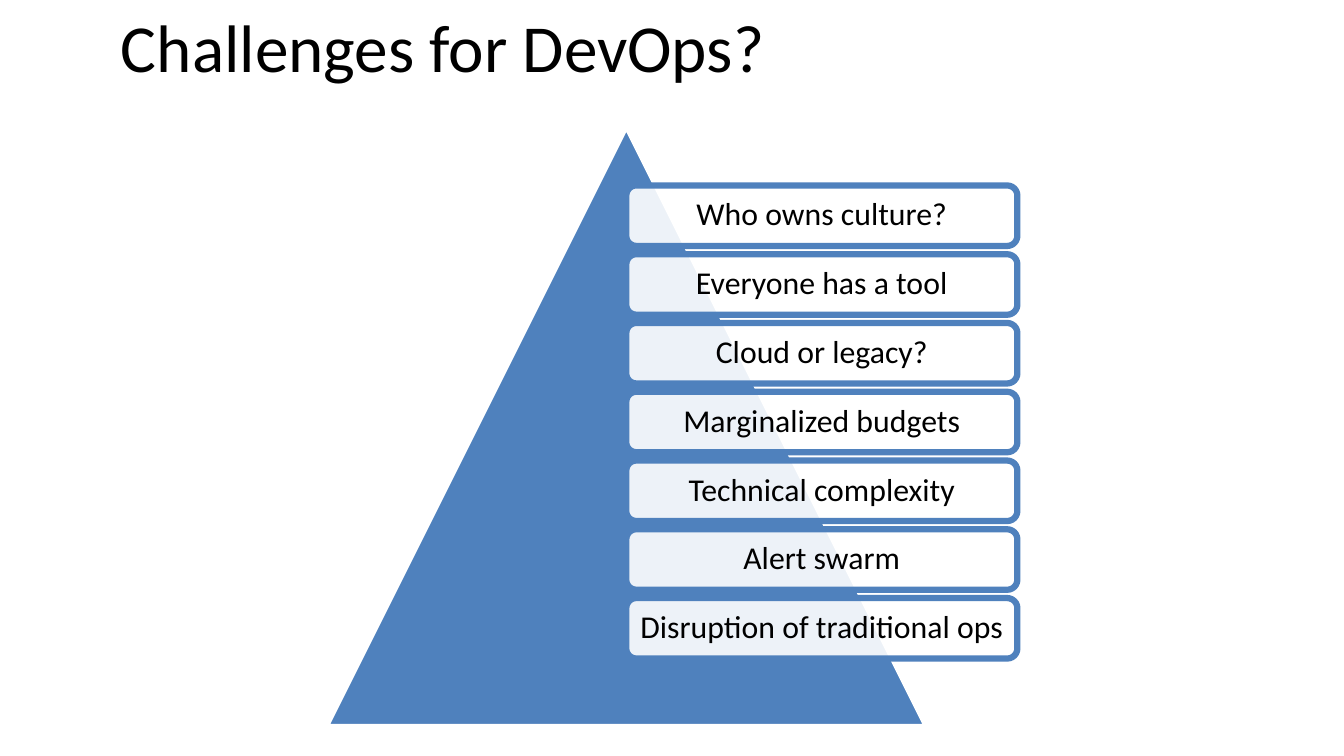
from dataclasses import dataclass

from lxml.etree import SubElement
from pptx import Presentation
from pptx.dml.color import RGBColor
from pptx.enum.shapes import MSO_SHAPE as Shape
from pptx.enum.text import MSO_ANCHOR as Anchor, PP_ALIGN as Align
from pptx.oxml.ns import qn
from pptx.util import Inches, Pt

WIDTH = 10
HEIGHT = WIDTH * 9 / 16
BLUE, WHITE, BLACK = "4F81BD", "FFFFFF", "000000"
TOPICS = [
    "Who owns culture?",
    "Everyone has a tool",
    "Cloud or legacy?",
    "Marginalized budgets",
    "Technical complexity",
    "Alert swarm",
    "Disruption of traditional ops",
]
FIRST, LAST = 1.38, 4.45
STEP = (LAST - FIRST) / (len(TOPICS) - 1)


@dataclass
class Box:
    left: float
    top: float
    width: float
    height: float

    def place(self) -> list:
        return [Inches(v) for v in (self.left, self.top, self.width, self.height)]


def color(code: str) -> RGBColor:
    return RGBColor.from_string(code)


def style(target, values: dict) -> None:
    for name, value in values.items():
        setattr(target, name, value)


def write(shape, text: str, size: float, align: Align, inset: float) -> None:
    frame = shape.text_frame
    style(frame, {
        "word_wrap": True,
        "vertical_anchor": Anchor.MIDDLE,
        "margin_left": Inches(inset),
        "margin_right": Inches(inset),
        "margin_top": Inches(0.07),
        "margin_bottom": Inches(0.07),
    })
    para = frame.paragraphs[0]
    style(para, {"alignment": align, "line_spacing": 0.9})
    run = para.add_run()
    run.text = text
    style(run.font, {"name": "Calibri", "size": Pt(size)})
    run.font.color.rgb = color(BLACK)


def draw(slide, kind: Shape, box: Box, fill: str, line: str):
    shape = slide.shapes.add_shape(kind, *box.place())
    shape.shadow.inherit = False
    shape.fill.solid()
    shape.fill.fore_color.rgb = color(fill)
    shape.line.color.rgb = color(line)
    shape.line.width = Pt(3.35)
    return shape


def fade(shape, percent: int) -> None:
    """Set the opacity of a solid fill."""
    tone = shape.fill._xPr.find(qn("a:solidFill"))[0]
    SubElement(tone, qn("a:alpha"), val=str(percent * 1000))


def main() -> None:
    deck = Presentation()
    style(deck, {"slide_width": Inches(WIDTH), "slide_height": Inches(HEIGHT)})
    slide = deck.slides.add_slide(deck.slide_layouts[6])

    title = slide.shapes.add_textbox(*Box(0.83, 0.06, 9.32, 0.63).place())
    write(title, "Challenges for DevOps?", 36, Align.LEFT, 0.07)

    draw(slide, Shape.ISOSCELES_TRIANGLE, Box(2.42, 0.93, 4.48, 4.48), BLUE, WHITE)

    for row, topic in enumerate(TOPICS):
        box = Box(4.66, FIRST + row * STEP, 2.91, 0.45)
        label = draw(slide, Shape.ROUNDED_RECTANGLE, box, WHITE, BLUE)
        fade(label, 90)
        write(label, topic, 17, Align.CENTER, 0.05)

    deck.save("out.pptx")


if __name__ == "__main__":
    main()
